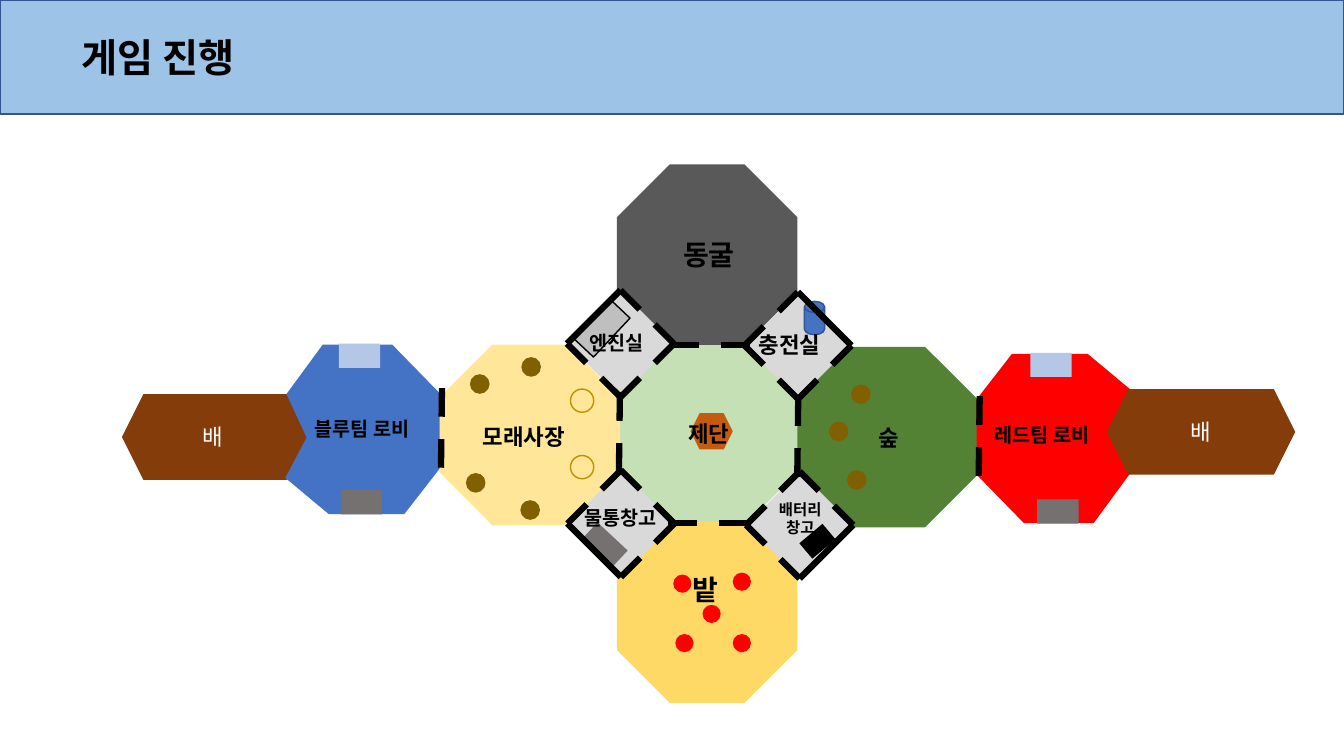
from pptx import Presentation
from pptx.dml.color import RGBColor
from pptx.enum.shapes import MSO_CONNECTOR, MSO_SHAPE
from pptx.enum.text import MSO_ANCHOR, MSO_AUTO_SIZE, PP_ALIGN
from pptx.oxml.xmlchemy import OxmlElement
from pptx.util import Pt

FONT = "Noto Sans CJK KR"
DOT = 13
RING = 16.6
ROOM = 76.4
GATE = (29.5, 17.3)
DASH = 0.36
LOBBY = (110.2, 121)
LOBBY_OUTLINE = [(0, 32.4), (0, 86.4), (33.8, 121), (83.5, 121), (109.4, 85.7),
                 (95, 54.7), (110.2, 25.9), (79.2, 0), (25.2, 0)]


def color(value):
    return RGBColor.from_string(value)


def paint(shape, fill=None, line=None):
    shape.shadow.inherit = False
    if fill:
        shape.fill.solid()
        shape.fill.fore_color.rgb = color(fill)
    else:
        shape.fill.background()
    if line:
        shape.line.color.rgb = color(line)
        shape.line.width = Pt(1)
    else:
        shape.line.fill.background()


def add_part(slide, kind, left, top, width, height, fill=None, line=None, rotation=0):
    shape = slide.shapes.add_shape(kind, Pt(left), Pt(top), Pt(width), Pt(height))
    paint(shape, fill, line)
    shape.rotation = rotation
    return shape


def write(frame, lines, size, bold=True, ink="000000", align=PP_ALIGN.LEFT):
    for number, line in enumerate(lines):
        paragraph = frame.paragraphs[0] if number == 0 else frame.add_paragraph()
        paragraph.alignment = align
        run = paragraph.add_run()
        run.text = line
        for name, value in {"name": FONT, "size": Pt(size), "bold": bold}.items():
            setattr(run.font, name, value)
        run.font.color.rgb = color(ink)
        east_asian = OxmlElement("a:ea")
        east_asian.set("typeface", FONT)
        run._r.get_or_add_rPr().append(east_asian)


def add_label(slide, lines, left, top, width, size, align=PP_ALIGN.LEFT):
    height = size * 1.22 * len(lines) + 7.2
    box = slide.shapes.add_textbox(Pt(left), Pt(top), Pt(width), Pt(height))
    box.text_frame.word_wrap = False
    box.text_frame.auto_size = MSO_AUTO_SIZE.SHAPE_TO_FIT_TEXT
    write(box.text_frame, lines, size, align=align)


def add_wall(slide, start, end):
    points = [Pt(value) for value in (*start, *end)]
    wall = slide.shapes.add_connector(MSO_CONNECTOR.STRAIGHT, *points)
    wall.line.color.rgb = color("000000")
    wall.line.width = Pt(4.5)
    wall.element.spPr.append(OxmlElement("a:effectLst"))


def add_doorway(slide, start, end):
    step = [DASH * (last - first) for first, last in zip(start, end)]
    add_wall(slide, start, [first + part for first, part in zip(start, step)])
    add_wall(slide, [last - part for last, part in zip(end, step)], end)


def add_banner(slide, width, height):
    title = slide.shapes.title
    banner = add_part(slide, MSO_SHAPE.RECTANGLE, 0, 0, width, height, "9DC3E6", "325491")
    title.element.addprevious(banner.element)
    box = {"left": 51.1, "top": 20.2, "width": 448.6, "height": 41}
    for name, value in box.items():
        setattr(title, name, Pt(value))
    frame_format = {"vertical_anchor": MSO_ANCHOR.TOP, "word_wrap": True,
                    "auto_size": MSO_AUTO_SIZE.SHAPE_TO_FIT_TEXT}
    for name, value in frame_format.items():
        setattr(title.text_frame, name, value)
    write(title.text_frame, ["게임 진행"], 28)
    title.text_frame.paragraphs[0].line_spacing = 1.0


def add_ship(slide, left, top, width, text):
    ship = add_part(slide, MSO_SHAPE.HEXAGON, left, top, width, 61.2, "843C0B")
    ship.text_frame.vertical_anchor = MSO_ANCHOR.MIDDLE
    write(ship.text_frame, [text], 16, False, "FFFFFF", PP_ALIGN.CENTER)


def add_zone(slide, left, top, fill, label, dots=(), dot_fill=None, dot_line=None,
             rings=(), core=None):
    add_part(slide, MSO_SHAPE.OCTAGON, left, top, 129, 129, fill)
    for x, y in dots:
        add_part(slide, MSO_SHAPE.OVAL, left + x, top + y, DOT, DOT, dot_fill, dot_line)
    for x, y in rings:
        add_part(slide, MSO_SHAPE.OVAL, left + x, top + y, RING, RING, None, "BF9000")
    if core:
        x, y, width, height = core
        add_part(slide, MSO_SHAPE.HEXAGON, left + x, top + y, width, height, "C55A11")
    text, x, y, width, size = label
    add_label(slide, [text], left + x, top + y, width, size)


def add_lobby(slide, left, top, fill, rotation, store_left, label):
    points = [(Pt(left + x), Pt(top + y)) for x, y in LOBBY_OUTLINE]
    builder = slide.shapes.build_freeform(*points[0])
    builder.add_line_segments(points[1:], close=True)
    lobby = builder.convert_to_shape()
    paint(lobby, fill)
    lobby.rotation = rotation
    add_part(slide, MSO_SHAPE.RECTANGLE, left + 38.2, top - 0.7, *GATE, "B4C7E7")
    add_part(slide, MSO_SHAPE.RECTANGLE, left + store_left, top + 104, *GATE, "767171")
    text, x, y = label
    add_label(slide, [text], left + x, top + y, 90, 14)


def add_room(slide, left, top, solid_side, item, label):
    half = ROOM / 2
    add_part(slide, MSO_SHAPE.RECTANGLE, left + half - 27, top + half - 27, 54, 54,
             "D9D9D9", rotation=45)
    kind, x, y, *look = item
    add_part(slide, kind, left + x, top + y, *look)
    lines, x, y, width, size, align = label
    add_label(slide, lines, left + x, top + y, width, size, align)
    corners = [(left + half, top), (left + ROOM, top + half),
               (left + half, top + ROOM), (left, top + half)]
    for side, start in enumerate(corners):
        draw = add_wall if side == solid_side else add_doorway
        draw(slide, start, corners[(side + 1) % 4])


def add_map(slide):
    add_zone(slide, 442.1, 244.8, "C5E0B4", ("제단", 42.5, 51.8, 46.8, 16),
             core=(51.1, 50.4, 30.2, 25.9))
    add_zone(slide, 440.6, 117.4, "595959", ("동굴", 40.3, 49, 104.4, 20))
    add_zone(slide, 569.5, 247.7, "548235", ("숲", 51.1, 51.8, 31, 16),
             [(36, 88.6), (23, 54), (38.9, 27.4)], "806000", "806000")
    add_zone(slide, 313.9, 246.2, "FFE699", ("모래사장", 23.8, 52.6, 79.2, 16),
             [(22.3, 21.6), (19.4, 92.2), (59, 9.4), (58.3, 111.6)], "806000", "806000",
             [(93.6, 31.7), (93.6, 79.2)])
    add_zone(slide, 440.6, 373, "FFD966", ("밭", 46.8, 32.4, 34.6, 20),
             [(40.3, 37.4), (61.2, 59), (82.8, 79.9), (82.8, 36), (41.8, 79.9)], "FF0000")

    add_ship(slide, 87.1, 281.5, 133.2, "배 ")
    add_lobby(slide, 203.8, 246.2, "4472C4", 180, 39.6, ("블루팀 로비", 13.7, 48.2))
    add_lobby(slide, 697.7, 252.7, "FF0000", 0, 43.2, ("레드팀 로비", 5.8, 46.1))
    add_ship(slide, 790.6, 277.9, 134.6, "배")

    left, center = PP_ALIGN.LEFT, PP_ALIGN.CENTER
    add_room(slide, 405, 207.3, 3,
             (MSO_SHAPE.RECTANGLE, 6.1, 18.1, 38.2, 18.7, "BFBFBF", "000000", 313.2),
             (["엔진실"], 9, 25.3, 56.9, 14, left))
    add_room(slide, 531.8, 208.6, 0,
             (MSO_SHAPE.FLOWCHART_MAGNETIC_DISK, 42.8, 6.7, 14.4, 23.8, "4472C4", "325491"),
             (["충전실"], 3.2, 24.7, 63.4, 16, left))
    add_room(slide, 405.3, 335.8, 2,
             (MSO_SHAPE.RECTANGLE, 11.6, 45.1, *GATE, "767171", None, 43),
             (["물통창고"], 5.1, 22, 71.3, 14, left))
    add_room(slide, 533, 336.8, 1,
             (MSO_SHAPE.RECTANGLE, 40.1, 42.6, 21.6, 14.4, "000000", None, 319.9),
             (["배터리", "창고"], 14.9, 16.7, 47.5, 11, center))

    for x, y in [(478.8, 246.4), (477.4, 373.6)]:
        add_doorway(slide, (x, y), (x + 56.6, y))
    for x, y in [(442.1, 280.1), (569.5, 283.7), (699.1, 283), (315, 277.2)]:
        add_doorway(slide, (x, y + 56.9), (x + 0.7, y))


def main():
    presentation = Presentation()
    presentation.slide_width, presentation.slide_height = Pt(960), Pt(540)
    slide = presentation.slides.add_slide(presentation.slide_layouts[5])
    add_banner(slide, 960, 81.4)
    add_map(slide)
    presentation.save("out.pptx")


if __name__ == "__main__":
    main()
